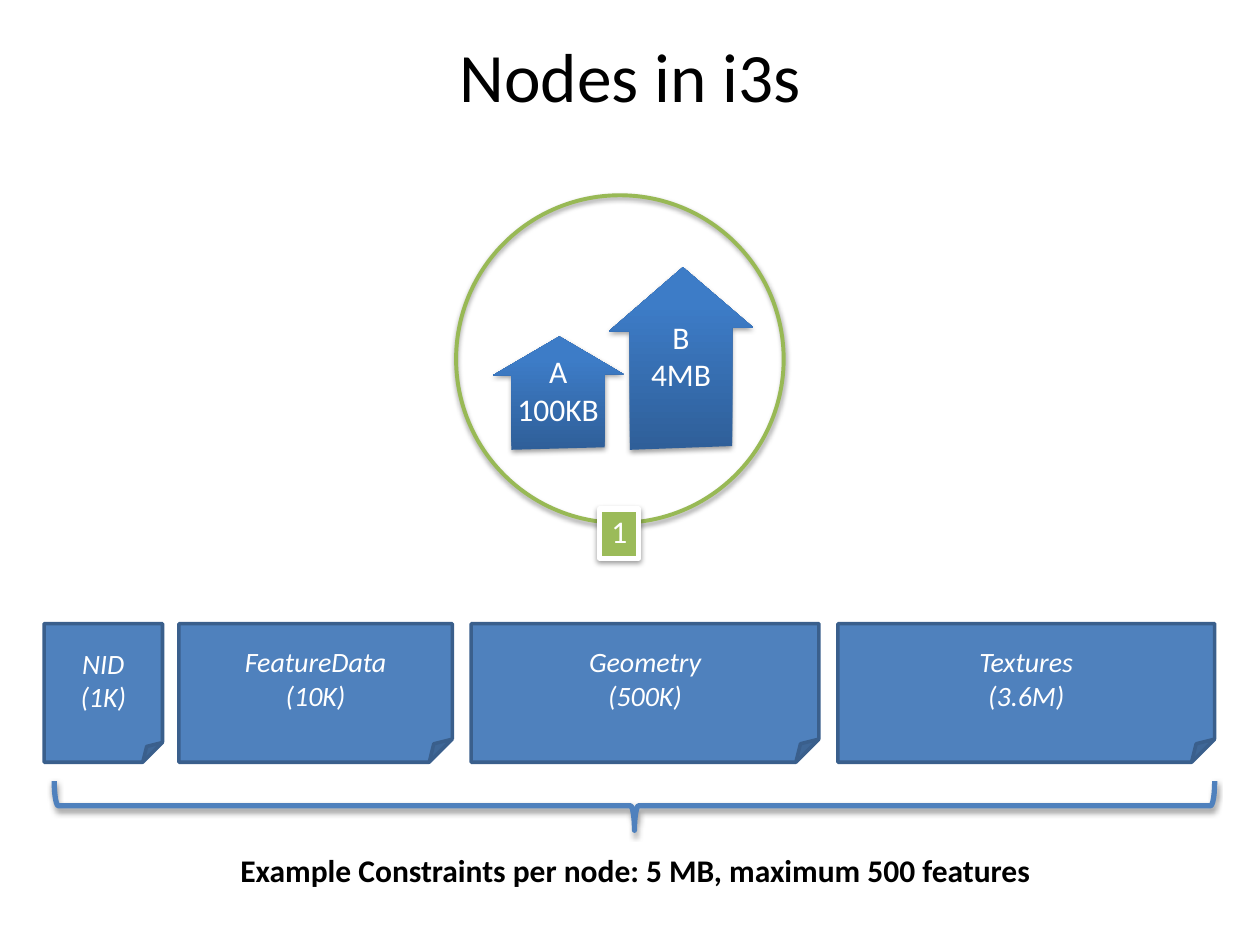
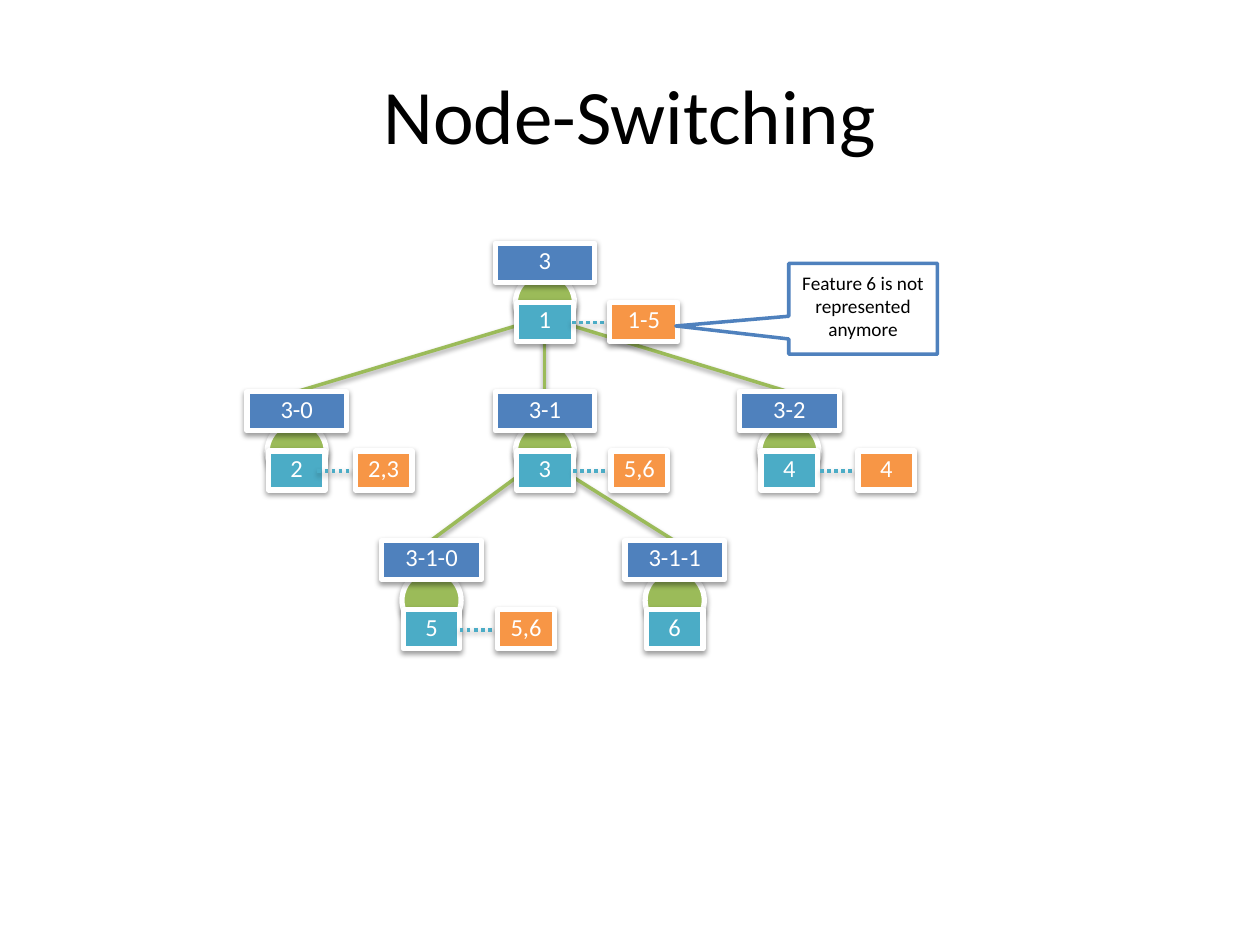
from lxml.etree import SubElement
from pptx import Presentation
from pptx.dml.color import RGBColor
from pptx.enum.dml import MSO_LINE_DASH_STYLE as Dash
from pptx.enum.shapes import MSO_CONNECTOR as Connector, MSO_SHAPE as Preset
from pptx.enum.text import MSO_ANCHOR as Anchor, MSO_AUTO_SIZE as AutoSize, PP_ALIGN as Align
from pptx.oxml.ns import qn
from pptx.util import Inches, Pt

FONT = "Calibri"
WHITE, BLACK = "FFFFFF", "000000"
BLUE, NAVY, GREEN, TEAL, ORANGE = "4F81BD", "3A5F8C", "9BBB59", "4BACC6", "F79646"


def color(value):
    """Turn a hex string into a colour."""
    return RGBColor.from_string(value)


class SlideBuilder:
    """Hold the deck style and draw on the current slide."""

    def __init__(self):
        """Start an empty deck."""
        self.deck = Presentation()
        self.deck.slide_width, self.deck.slide_height = Inches(10), Inches(7.5)
        self.page = None

    def start(self, text, size=44, space_below=0.05):
        """Add a slide and format its title."""
        self.page = self.deck.slides.add_slide(self.deck.slide_layouts[5])
        title = self.page.shapes.title
        title.left, title.top, title.width, title.height = map(Inches, (0.5, 0.3, 9, 1.25))
        self.set_text(title, text, size, BLACK)
        title.text_frame.margin_bottom = Inches(space_below)

    def set_text(self, shape, text, size, ink=WHITE, bold=False, italic=False):
        """Put centred text into a shape."""
        frame = shape.text_frame
        frame.text = text
        frame.word_wrap = True
        frame.auto_size = AutoSize.NONE
        frame.vertical_anchor = Anchor.MIDDLE
        frame.margin_left = frame.margin_right = frame.margin_top = 0
        for para in frame.paragraphs:
            para.alignment = Align.CENTER
            for span in para.runs:
                span.font.name, span.font.size = FONT, Pt(size)
                span.font.bold, span.font.italic = bold, italic
                span.font.color.rgb = color(ink)

    def cast(self, shape):
        """Give a shape or connector the soft shadow below it."""
        effects = SubElement(shape._element.spPr, qn("a:effectLst"))
        shadow = SubElement(effects, qn("a:outerShdw"), blurRad=str(Pt(3.1)), dist=str(Pt(1.6)),
                            dir="5400000", rotWithShape="0")
        tint = SubElement(shadow, qn("a:srgbClr"), val=BLACK)
        SubElement(tint, qn("a:alpha"), val="38000")

    def shape(self, preset, x, y, width, height, fill=None, line=WHITE, weight=3, shadow=True):
        """Draw a preset shape."""
        shape = self.page.shapes.add_shape(preset, *map(Inches, (x, y, width, height)))
        if fill:
            shape.fill.solid()
            shape.fill.fore_color.rgb = color(fill)
        else:
            shape.fill.background()
        shape.line.color.rgb = color(line)
        shape.line.width = Pt(weight)
        if shadow:
            self.cast(shape)
        else:
            shape.shadow.inherit = False
        return shape

    def label(self, text, x, y, width, height, fill, size=14):
        """Draw a framed rectangle with text."""
        self.set_text(self.shape(Preset.RECTANGLE, x, y, width, height, fill), text, size)

    def house(self, text, points):
        """Draw a house-shaped outline with a gradient."""
        corners = [tuple(map(Inches, point)) for point in points]
        outline = self.page.shapes.build_freeform(*corners[0])
        outline.add_line_segments(corners[1:], close=True)
        house = outline.convert_to_shape()
        house.fill.gradient()
        house.fill.gradient_angle = 90
        for stop, place, tone in zip(house.fill.gradient_stops, (0, 0.8), ("2F5F99", "3D7CC7")):
            stop.position, stop.color.rgb = place, color(tone)
        house.line.fill.background()
        self.cast(house)
        self.set_text(house, text, 18)

    def line(self, start, end, ink, dash=None):
        """Draw a straight line."""
        line = self.page.shapes.add_connector(Connector.STRAIGHT, *map(Inches, (*start, *end)))
        line.line.color.rgb = color(ink)
        line.line.width = Pt(2)
        if dash:
            line.line.dash_style = dash
        self.cast(line)

    def caption(self, text, x, y, width, height):
        """Add a bold line of text."""
        box = self.page.shapes.add_textbox(*map(Inches, (x, y, width, height)))
        self.set_text(box, text, 18, BLACK, bold=True)
        box.text_frame.word_wrap = False

    def node(self, center, top, drop, key, number, features, feature_x):
        """Draw a tree node with its key, number and features."""
        id_top = top + drop
        self.shape(Preset.OVAL, center - 0.23, top + 0.24, 0.47, 0.47, GREEN)
        self.label(key, center - 0.39, top, 0.79, 0.31, BLUE)
        self.label(number, center - 0.22, id_top, 0.45, 0.31, TEAL)
        if features:
            middle = id_top + 0.16
            self.line((feature_x - 0.3, middle), (feature_x, middle), TEAL, Dash.ROUND_DOT)
            width = 0.54 if key == "3" else 0.45
            self.label(features, feature_x, id_top, width, 0.31, ORANGE)


def build_nodes(draw):
    """Build the slide on what a node holds."""
    draw.start("Nodes in i3s", 39.6, space_below=0.67)
    draw.shape(Preset.OVAL, 3.62, 1.55, 2.6, 2.6, line="98B955", weight=2.25)
    draw.house("A\v100KB", [(4.06, 3.57), (4.06, 2.98), (3.91, 2.98), (4.44, 2.67),
                            (4.95, 2.97), (4.8, 2.97), (4.8, 3.55)])
    draw.house("B\v4MB", [(5, 3.57), (5, 2.63), (4.83, 2.63), (5.42, 2.12),
                          (5.98, 2.6), (5.81, 2.6), (5.81, 3.54)])
    draw.label("1", 4.76, 4.04, 0.31, 0.39, GREEN, 18)
    parts = [("NID\n(1K)", 0.35, 0.94), ("FeatureData\n(10K)", 1.42, 2.17),
             ("Geometry\n(500K)", 3.74, 2.76), ("Textures\n(3.6M)", 6.65, 2.99)]
    for text, x, width in parts:
        card = draw.shape(Preset.FOLDED_CORNER, x, 4.95, width, 1.1, BLUE, NAVY, 2, shadow=False)
        draw.set_text(card, text, 16, italic=True)
    brace = draw.shape(Preset.RIGHT_BRACE, 4.84, 1.79, 0.39, 9.21, line=BLUE)
    brace.rotation = 90
    draw.caption("Example Constraints per node: 5 MB, maximum 500 features", 1.78, 6.73, 6.53, 0.4)


def build_switching(draw):
    """Build the slide with the node tree."""
    draw.start("Node-Switching")
    nodes = {
        "3": (4.32, "1", "1-5", 4.84),
        "3-0": (2.35, "2", "2,3", 2.82),
        "3-1": (4.32, "3", "5,6", 4.85),
        "3-2": (6.26, "4", "4", 6.81),
        "3-1-0": (3.42, "5", "5,6", 3.95),
        "3-1-1": (5.35, "6", None, None),
    }
    tops = {key: 1.93 + 1.18 * key.count("-") for key in nodes}
    for key, (center, *_) in nodes.items():
        parent = key.rpartition("-")[0]
        if parent:
            origin = nodes[parent][0]
            side = (center > origin) - (center < origin)
            start = (origin + 0.17 * side, tops[parent] + (0.64 if side else 0.71))
            draw.line(start, (center, tops[key]), GREEN)
    for key, (center, number, features, feature_x) in nodes.items():
        drop = 0.55 if key.count("-") == 2 else 0.47
        draw.node(center, tops[key], drop, key, number, features, feature_x)
    callout = draw.shape(Preset.RECTANGULAR_CALLOUT, 6.26, 2.09, 1.18, 0.72, WHITE, BLUE, 2, shadow=False)
    callout.adjustments[0], callout.adjustments[1] = -1.26, 0.19
    draw.set_text(callout, "Feature 6 is not represented anymore", 11, BLACK)


def main():
    """Build and save the deck."""
    draw = SlideBuilder()
    build_nodes(draw)
    build_switching(draw)
    draw.deck.save("out.pptx")


main()
